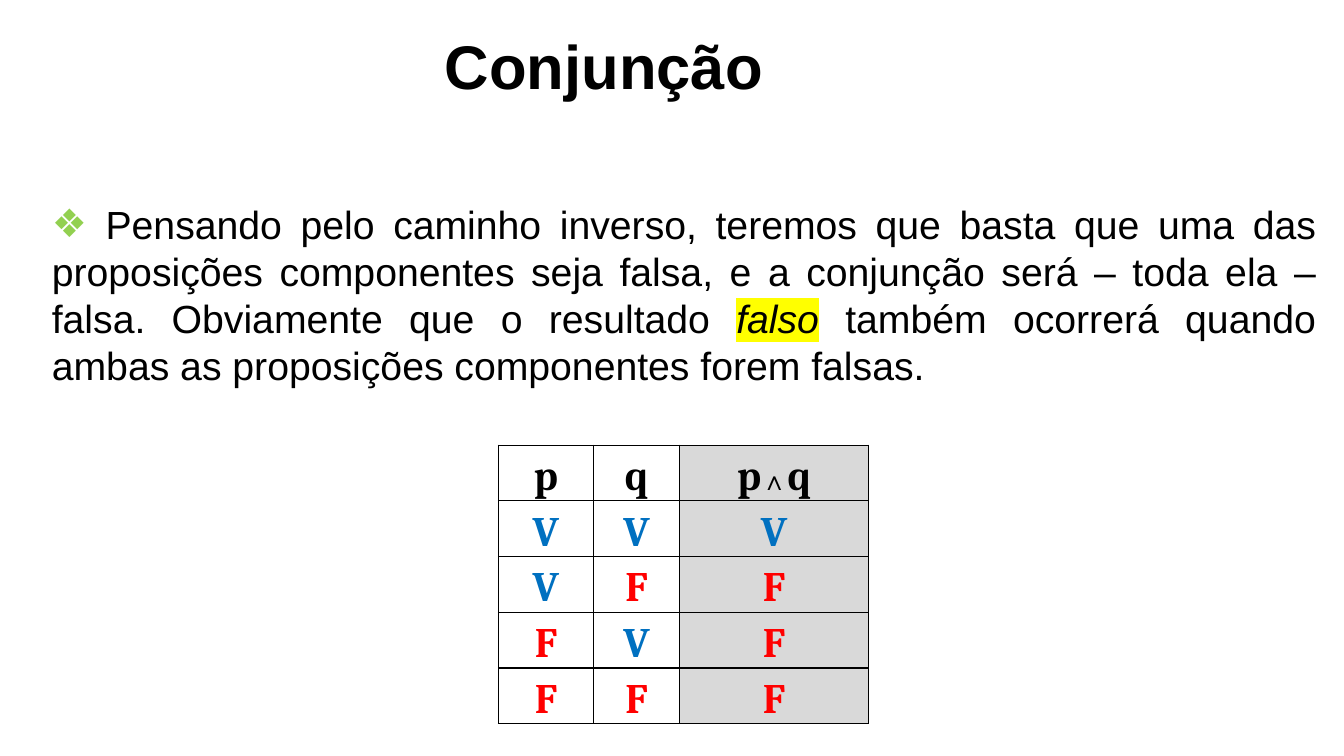
from lxml.etree import SubElement
from pptx import Presentation
from pptx.dml.color import RGBColor
from pptx.enum.text import MSO_ANCHOR, PP_ALIGN
from pptx.oxml.ns import qn
from pptx.util import Pt

BLACK = RGBColor(0x00, 0x00, 0x00)
WHITE = RGBColor(0xFF, 0xFF, 0xFF)
GRAY = RGBColor(0xD9, 0xD9, 0xD9)
BLUE = RGBColor(0x00, 0x70, 0xC0)
RED = RGBColor(0xFF, 0x00, 0x00)
GREEN = RGBColor(0x92, 0xD0, 0x50)
YELLOW = RGBColor(0xFF, 0xFF, 0x00)

TRUTH_ROWS = ("p", "q", "p∧q"), ("V", "V", "V"), ("V", "F", "F"), ("F", "V", "F"), ("F", "F", "F")
VALUE_COLORS = {"V": BLUE, "F": RED}


class LessonSlide:
    text_font = "Arial"
    table_font = "Cambria"

    def __init__(self, presentation):
        self.slide = presentation.slides.add_slide(presentation.slide_layouts[5])

    def set_font(self, font, name, size, color=BLACK, bold=False):
        font.name, font.size, font.bold = name, Pt(size), bold
        font.color.rgb = color

    def add_color(self, parent, tag, color):
        holder = SubElement(parent, qn(tag))
        SubElement(holder, qn("a:srgbClr"), val=str(color))
        return holder

    def title(self, text, left, top, width, height):
        heading = self.slide.shapes.title
        heading.left, heading.top = Pt(left), Pt(top)
        heading.width, heading.height = Pt(width), Pt(height)
        heading.text_frame.text = text
        heading.text_frame.vertical_anchor = MSO_ANCHOR.MIDDLE
        paragraph = heading.text_frame.paragraphs[0]
        paragraph.alignment = PP_ALIGN.CENTER
        paragraph.line_spacing = 0.9
        self.set_font(paragraph.font, self.text_font, 44, bold=True)

    def bullet_text(self, before, marked, after, left, top, width, height):
        body = self.slide.shapes.add_textbox(Pt(left), Pt(top), Pt(width), Pt(height))
        body.text_frame.word_wrap = True
        paragraph = body.text_frame.paragraphs[0]
        paragraph.alignment = PP_ALIGN.JUSTIFY
        paragraph.line_spacing = 1.0
        properties = paragraph._p.get_or_add_pPr()
        self.add_color(properties, "a:buClr", GREEN)
        SubElement(properties, qn("a:buFont"), typeface=self.text_font)
        SubElement(properties, qn("a:buChar"), char="❖")
        self.set_font(paragraph.font, self.text_font, 28)
        for text in (before, marked, after):
            run = paragraph.add_run()
            run.text = text
            if text == marked:
                run.font.italic = True
                self.add_color(run._r.get_or_add_rPr(), "a:highlight", YELLOW)

    def truth_table(self, rows, left, top, column_widths, row_height):
        table = self.slide.shapes.add_table(
            len(rows), len(column_widths), Pt(left), Pt(top),
            Pt(sum(column_widths)), Pt(row_height * len(rows))).table
        for column, width in zip(table.columns, column_widths):
            column.width = Pt(width)
        for row, values in zip(table.rows, rows):
            row.height = Pt(row_height)
            for index, (cell, value) in enumerate(zip(row.cells, values)):
                is_result = index == len(column_widths) - 1
                self.truth_cell(cell, value, GRAY if is_result else WHITE)

    def truth_cell(self, cell, value, background):
        cell.margin_left = cell.margin_right = Pt(5)
        cell.margin_top = cell.margin_bottom = 0
        cell.vertical_anchor = MSO_ANCHOR.BOTTOM
        properties = cell._tc.get_or_add_tcPr()
        for side in ("a:lnL", "a:lnR", "a:lnT", "a:lnB"):
            border = SubElement(properties, qn(side), w=str(Pt(1)))
            self.add_color(border, "a:solidFill", BLACK)
        cell.fill.solid()
        cell.fill.fore_color.rgb = background
        paragraph = cell.text_frame.paragraphs[0]
        paragraph.alignment = PP_ALIGN.CENTER
        paragraph.line_spacing = 1.1
        color = VALUE_COLORS.get(value, BLACK)
        self.set_font(paragraph.font, self.table_font, 30, color, bold=True)
        for symbol in value:
            run = paragraph.add_run()
            run.text = symbol
            if symbol == "∧":
                self.set_font(run.font, self.text_font, 19)


def main():
    presentation = Presentation()
    presentation.slide_width, presentation.slide_height = Pt(960), Pt(540)
    lesson = LessonSlide(presentation)
    lesson.title("Conjunção", 107.5, 16.5, 648, 67)
    lesson.bullet_text(
        " Pensando pelo caminho inverso, teremos que basta que uma das proposições "
        "componentes seja falsa, e a conjunção será – toda ela – falsa. "
        "Obviamente que o resultado ",
        "falso",
        " também ocorrerá quando ambas as proposições componentes forem falsas.",
        30, 139.5, 917, 358)
    lesson.truth_table(TRUTH_ROWS, 356, 318, (68, 61.5, 135), 39.8)
    presentation.save("out.pptx")


if __name__ == "__main__":
    main()
